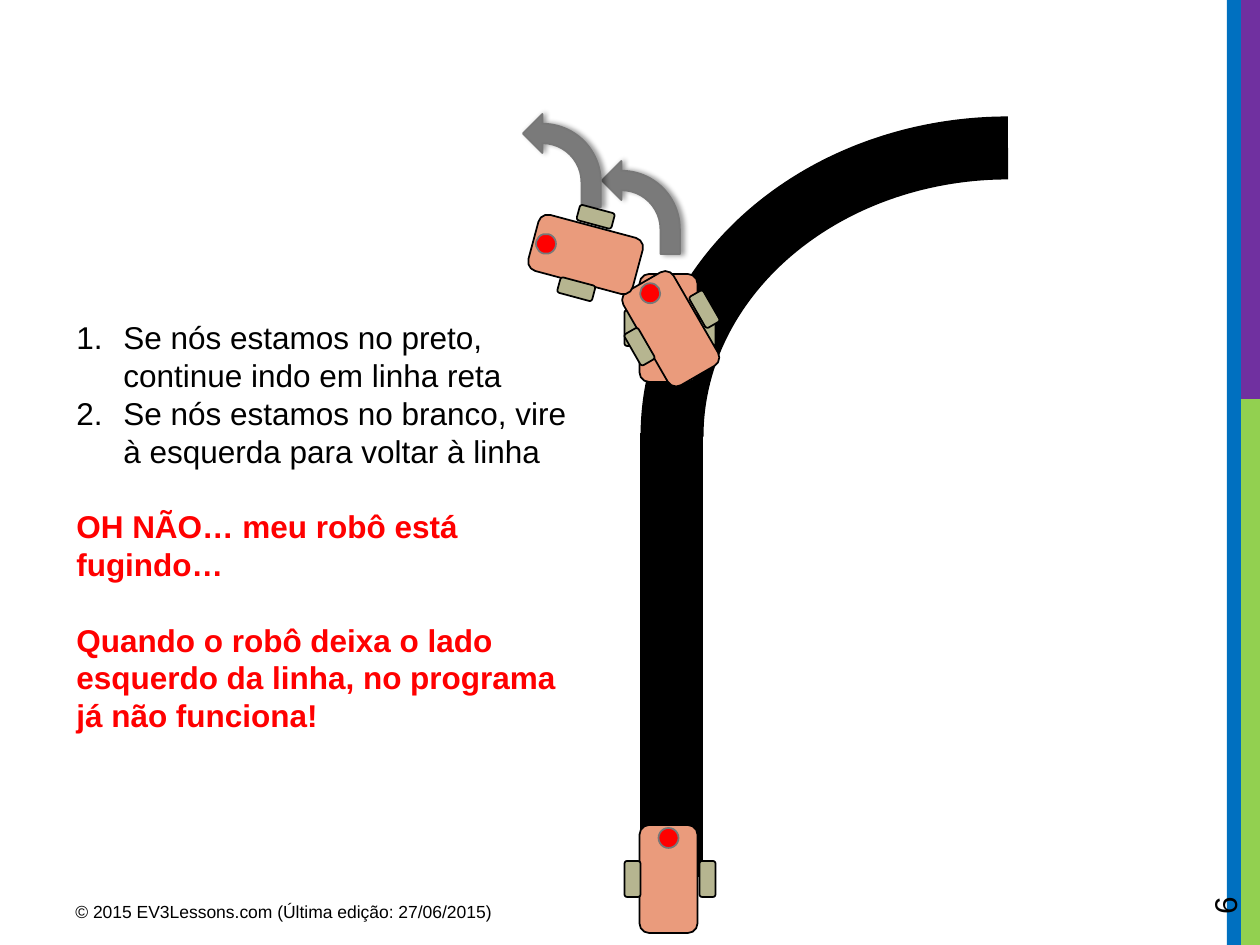
from lxml import etree
from pptx import Presentation
from pptx import util as u
from pptx.dml.color import RGBColor
from pptx.enum import shapes, text
from pptx.oxml.ns import qn

PX = 914400 / 126
MS = shapes.MSO_SHAPE
COLORS = {
    "blue": "0070C0", "green": "92D050", "purple": "7030A0",
    "black": "000000", "red": "FF0000", "body": "EA9B7C",
    "wheel": "B6B590", "arrow": "7A7A7A", "outline": "777777",
}


def px(n):
    return u.Emu(round(n * PX))


def rgb(name):
    return RGBColor.from_string(COLORS[name])


def add_shape(parent, kind, box, fill=None, line=None, width=1):
    sp = parent.shapes.add_shape(kind, *map(px, box))
    sp.shadow.inherit = False
    if fill:
        sp.fill.solid()
        sp.fill.fore_color.rgb = rgb(fill)
    else:
        sp.fill.background()
    if line:
        sp.line.color.rgb = rgb(line)
        sp.line.width = u.Pt(width)
    else:
        sp.line.fill.background()
    return sp


def flip(sp):
    sp.element.spPr.find(qn("a:xfrm")).set("flipH", "1")


def add_text(tf, words, first=False, size=18, color="black", bold=False,
             numbered=False, before=0, spacing=None):
    p = tf.paragraphs[0] if first else tf.add_paragraph()
    if numbered:
        pPr = p._p.get_or_add_pPr()
        pPr.set("marL", str(px(47)))
        pPr.set("indent", str(-px(47)))
        etree.SubElement(pPr, qn("a:buFont")).set("typeface", "+mj-lt")
        etree.SubElement(pPr, qn("a:buAutoNum")).set("type", "arabicPeriod")
    p.alignment = text.PP_ALIGN.LEFT
    if before:
        p.space_before = u.Pt(before)
    if spacing:
        p.line_spacing = u.Pt(spacing)
    r = p.add_run()
    r.text = words
    r.font.name = "Arial"
    r.font.size = u.Pt(size)
    r.font.bold = bold
    r.font.color.rgb = rgb(color)


def add_box(s, box):
    tb = s.shapes.add_textbox(*map(px, box))
    tb.text_frame.word_wrap = True
    return tb


def side_bars(s, x, height):
    split = 399
    for box, fill in (
        ((x, 0, 13, height), "blue"),
        ((x + 13, split, 20, height - split), "green"),
        ((x + 8, 0, 25, split), "purple"),
        ((x + 1, 0, 13, height), "blue"),
    ):
        add_shape(s, MS.RECTANGLE, box, fill)


def track(s, x, top, bend, bottom):
    cxn = s.shapes.add_connector(shapes.MSO_CONNECTOR.STRAIGHT,
                                 px(x), px(bottom), px(x), px(bend))
    cxn.line.color.rgb = rgb("black")
    cxn.line.width = u.Pt(36)
    etree.SubElement(cxn.element.spPr, qn("a:effectLst"))
    arc = add_shape(s, MS.ARC, (x, top, 672, 577), line="black", width=36)
    flip(arc)


def robot(s, cx, cy, angle=0):
    x, y = cx - 45.5, cy - 54
    grp = s.shapes.add_group_shape()
    for kind, dx, dy, w, h, fill, line in (
        (MS.ROUNDED_RECTANGLE, 15, 0, 58, 108, "body", "black"),
        (MS.ROUNDED_RECTANGLE, 75, 36, 16, 36, "wheel", "black"),
        (MS.ROUNDED_RECTANGLE, 0, 36, 16, 36, "wheel", "black"),
        (MS.OVAL, 34, 3, 20, 20, "red", "outline"),
    ):
        add_shape(grp, kind, (x + dx, y + dy, w, h), fill, line)
    grp.rotation = angle


def turn_arrow(s, x, y):
    sp = add_shape(s, MS.BENT_ARROW, (x, y, 78, 93), "arrow", "outline")
    sp.adjustments[3] = 0.75
    flip(sp)
    effects = sp.element.spPr.find(qn("a:effectLst"))
    shadow = etree.SubElement(effects, qn("a:outerShdw"), blurRad=str(u.Pt(3.1)),
                              dist=str(u.Pt(1.8)), dir="0", rotWithShape="0")
    clr = etree.SubElement(shadow, qn("a:srgbClr"), val=COLORS["black"])
    etree.SubElement(clr, qn("a:alpha"), val="40000")


def explanation(s, box):
    tf = add_box(s, box).text_frame
    line = 21.6
    steps = ("Se nós estamos no preto, continue indo em linha reta",
             "Se nós estamos no branco, vire à esquerda para voltar à linha")
    warnings = ("OH NÃO… meu robô está fugindo…",
                "Quando o robô deixa o lado esquerdo da linha, "
                "no programa já não funciona!")
    for i, words in enumerate(steps):
        add_text(tf, words, first=i == 0, numbered=True, spacing=line)
    for words in warnings:
        add_text(tf, words, color="red", bold=True, before=line, spacing=line)


def footer(s):
    add_text(add_box(s, (63, 895, 473, 39)).text_frame,
             "© 2015 EV3Lessons.com (Última edição: 27/06/2015)",
             first=True, size=10)
    number = add_box(s, (1134, 811, 181, 50))
    number.rotation = 270
    add_text(number.text_frame, "6", first=True)


def main():
    prs = Presentation()
    prs.slide_width, prs.slide_height = px(1260), px(945)
    s = prs.slides.add_slide(prs.slide_layouts[6])
    side_bars(s, 1227, 945)
    track(s, 672, 148, 433, 877)
    robot(s, 670, 879)
    robot(s, 670, 328)
    turn_arrow(s, 602, 161)
    robot(s, 672, 328, 330)
    turn_arrow(s, 523, 114)
    robot(s, 586, 253, 285)
    explanation(s, (64, 312, 532, 432))
    footer(s)
    prs.save("out.pptx")


if __name__ == "__main__":
    main()
